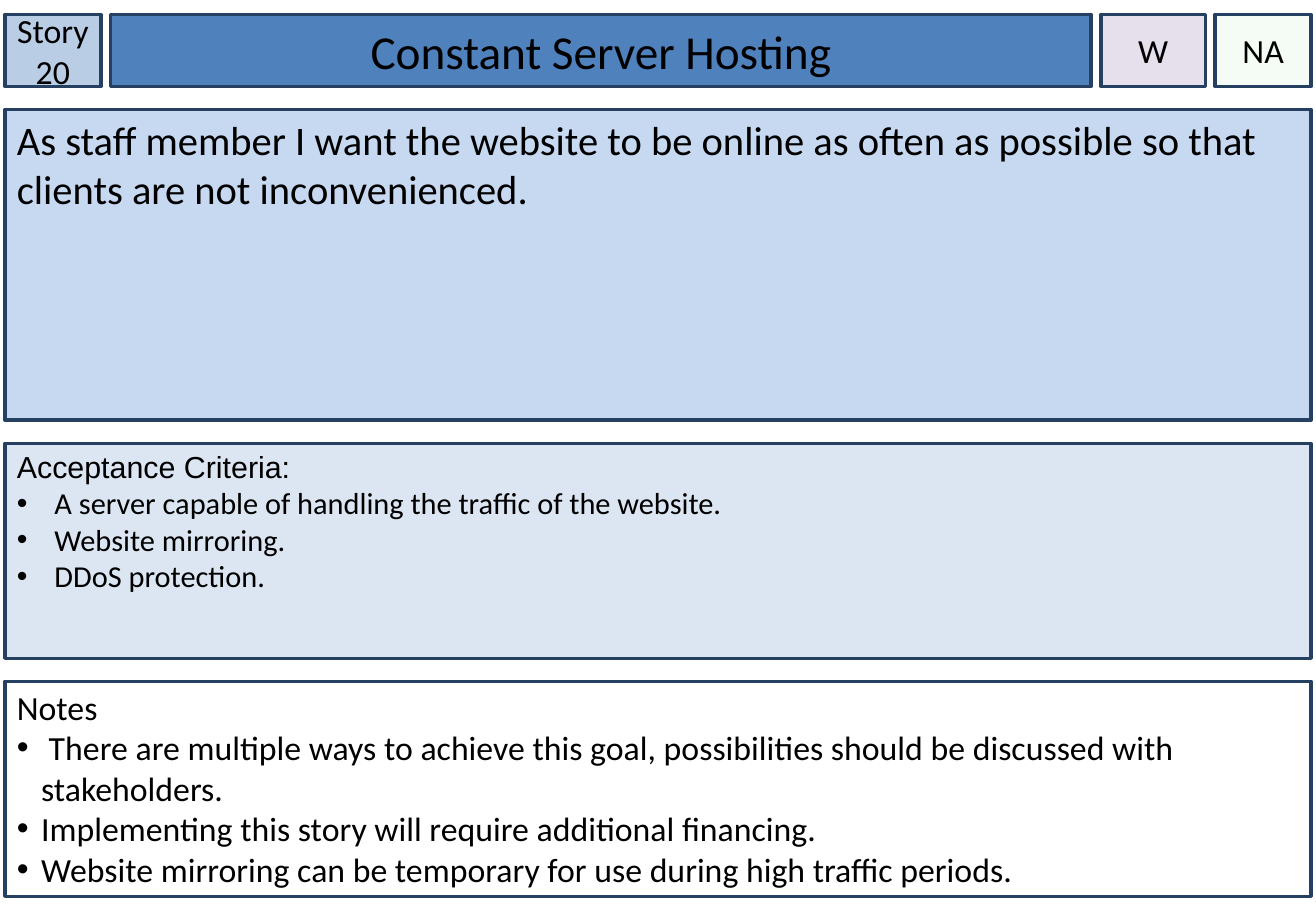
import dataclasses
import itertools

import pptx
import pptx.dml.color
import pptx.enum.shapes
import pptx.enum.text
import pptx.oxml
import pptx.oxml.ns
import pptx.util

ANCHOR = pptx.enum.text.MSO_ANCHOR
ALIGN = pptx.enum.text.PP_ALIGN
Inches = pptx.util.Inches


@dataclasses.dataclass(frozen=True)
class Theme:
    """Colours, fonts and type sizes of the story card."""
    text: str = "000000"
    border: str = "254061"
    number: str = "B9CDE5"
    title: str = "4F81BD"
    priority: str = "E6E0EC"
    estimate: str = "CCF0CD"
    story: str = "C6D9F1"
    criteria: str = "DCE6F2"
    notes: str = "FFFFFF"
    body_font: str = "Calibri"
    label_font: str = "Arial"
    title_size: int = 28
    story_size: int = 24
    normal_size: int = 20
    criteria_size: int = 18
    border_width: int = 2


THEME = Theme()
SLIDE_SIZE = (10.83, 7.5)
COLUMNS = (0.79, 8.07, 0.86, 0.79)
ROWS = (0.59, 2.56, 1.77, 1.77)
LEFT, COLUMN_GAP = 0.04, 0.08
TOP, ROW_GAP = 0.12, 0.19


def tracks(start, sizes, gap):
    """Return (position, size) pairs for consecutive grid tracks."""
    starts = itertools.accumulate((n + gap for n in sizes), initial=start)
    return list(zip(starts, sizes))


def rgb(value):
    """Turn a hex string into a colour."""
    return pptx.dml.color.RGBColor.from_string(value)


def add_panel(s, column, row, fill, lines, size, insets=(0.1, 0.05)):
    """Add a bordered rectangle holding left-aligned text and return it."""
    (x, w), (y, h) = column, row
    sp = s.shapes.add_shape(pptx.enum.shapes.MSO_SHAPE.RECTANGLE,
                            *map(Inches, (x, y, w, h)))
    sp.shadow.inherit = False
    sp.fill.solid()
    sp.fill.fore_color.rgb = rgb(fill)
    sp.line.color.rgb = rgb(THEME.border)
    sp.line.width = pptx.util.Pt(THEME.border_width)
    tf = sp.text_frame
    tf.word_wrap = True
    tf.vertical_anchor = ANCHOR.TOP
    tf.margin_left = tf.margin_right = Inches(insets[0])
    tf.margin_top, tf.margin_bottom = Inches(insets[1]), Inches(0.05)
    tf.text = "\n".join(lines)
    for p in tf.paragraphs:
        p.alignment = ALIGN.LEFT
        for r in p.runs:
            r.font.name = THEME.body_font
            r.font.size = pptx.util.Pt(size)
            r.font.color.rgb = rgb(THEME.text)
    return sp


def add_header(s, column, row, fill, text, size, inset=0):
    """Add a header cell with centred text and return it."""
    sp = add_panel(s, column, row, fill, [text], size, (inset, 0.05))
    sp.text_frame.vertical_anchor = ANCHOR.MIDDLE
    sp.text_frame.paragraphs[0].alignment = ALIGN.CENTER
    return sp


def add_list_panel(s, column, row, fill, heading, items, size, indent):
    """Add a panel with a heading above a bulleted list and return it."""
    sp = add_panel(s, column, row, fill, [heading, *items], size, (0.1, 0.04))
    for p in sp.text_frame.paragraphs[1:]:
        props = p._p.get_or_add_pPr()
        props.set("marL", str(Inches(indent)))
        props.set("indent", str(-Inches(indent)))
        for tag, key, value in (("a:buFont", "typeface", THEME.label_font),
                                ("a:buChar", "char", "•")):
            bullet = pptx.oxml.xmlchemy.OxmlElement(tag)
            bullet.set(key, value)
            props.append(bullet)
    return sp


def set_opacity(sp, percent):
    """Make the solid fill of a shape partly transparent."""
    color = sp.fill._xPr.find(".//" + pptx.oxml.ns.qn("a:srgbClr"))
    alpha = pptx.oxml.xmlchemy.OxmlElement("a:alpha")
    alpha.set("val", str(percent * 1000))
    color.append(alpha)


def main():
    """Build the story card and save it."""
    prs = pptx.Presentation()
    prs.slide_width, prs.slide_height = map(Inches, SLIDE_SIZE)
    s = prs.slides.add_slide(prs.slide_layouts[6])

    number, title, priority, estimate = tracks(LEFT, COLUMNS, COLUMN_GAP)
    header, story, criteria, notes = tracks(TOP, ROWS, ROW_GAP)
    full = (LEFT, sum(estimate) - LEFT)

    add_header(s, number, header, THEME.number, "Story 20", THEME.normal_size)
    add_header(s, title, header, THEME.title, "Constant Server Hosting",
               THEME.title_size, 0.1)
    add_header(s, priority, header, THEME.priority, "W", THEME.normal_size)
    sp = add_header(s, estimate, header, THEME.estimate, "NA",
                    THEME.normal_size)
    set_opacity(sp, 20)

    add_panel(s, full, story, THEME.story,
              ["As staff member I want the website to be online as often as "
               "possible so that clients are not inconvenienced."],
              THEME.story_size)
    sp = add_list_panel(
        s, full, criteria, THEME.criteria, "Acceptance Criteria:",
        ["A server capable of handling the traffic of the website.",
         "Website mirroring.",
         "DDoS protection."],
        THEME.criteria_size, 0.31)
    sp.text_frame.paragraphs[0].runs[0].font.name = THEME.label_font
    add_list_panel(
        s, full, notes, THEME.notes, "Notes",
        [" There are multiple ways to achieve this goal, possibilities "
         "should be discussed with stakeholders.",
         "Implementing this story will require additional financing.",
         "Website mirroring can be temporary for use during high traffic "
         "periods."],
        THEME.normal_size, 0.2)
    prs.save("out.pptx")


if __name__ == "__main__":
    main()
